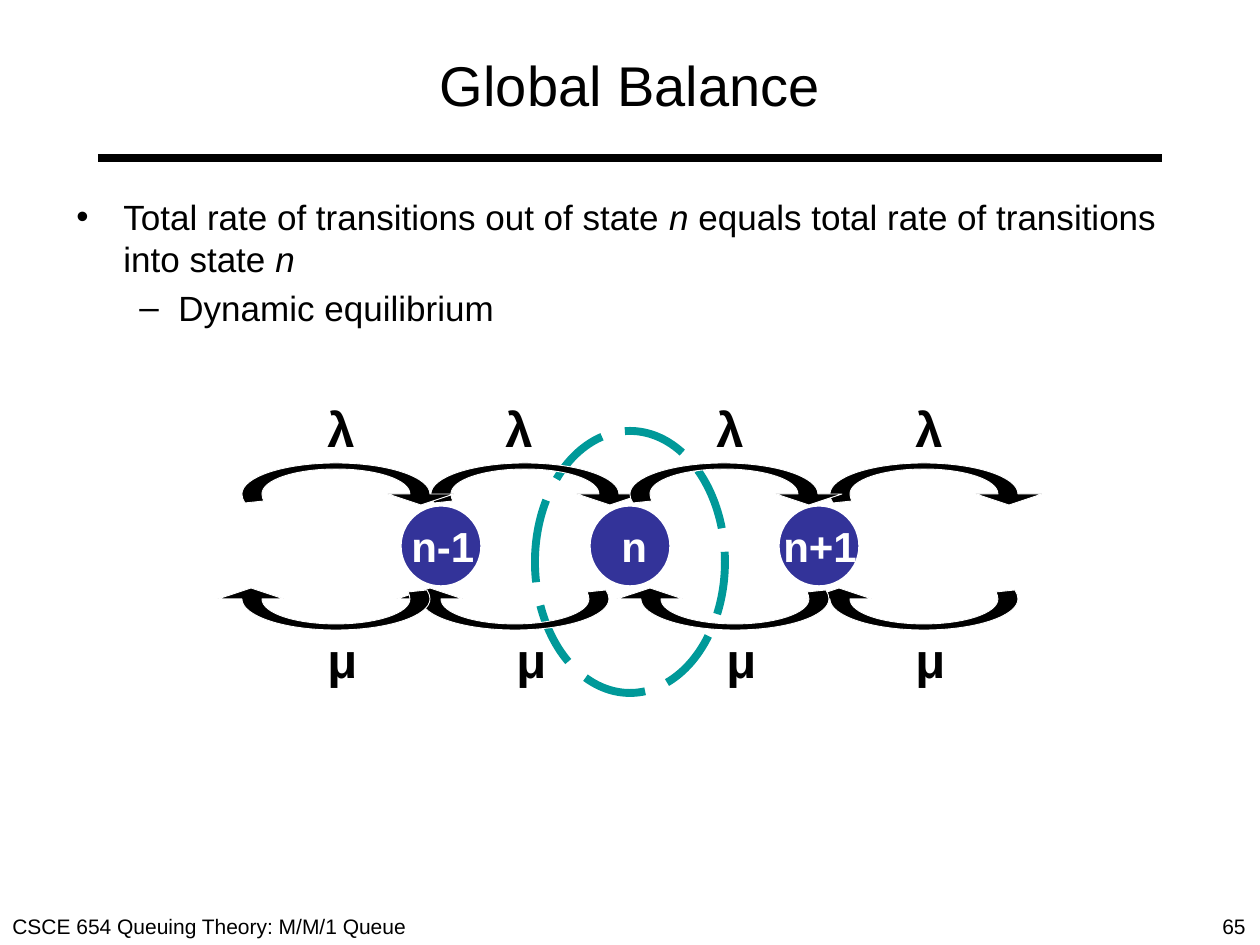
"""Build the Global Balance slide: a birth-death chain with a cut around state n."""
from lxml import etree
from pptx import Presentation
from pptx.dml.color import RGBColor
from pptx.enum.dml import MSO_LINE
from pptx.enum.shapes import MSO_CONNECTOR, MSO_SHAPE
from pptx.enum.text import MSO_ANCHOR, MSO_AUTO_SIZE, PP_ALIGN
from pptx.oxml.ns import qn
from pptx.util import Pt

OVAL, STRAIGHT = MSO_SHAPE.OVAL, MSO_CONNECTOR.STRAIGHT
DASH = MSO_LINE.LONG_DASH
MIDDLE, CENTER = MSO_ANCHOR.MIDDLE, PP_ALIGN.CENTER
FIXED, GROW = MSO_AUTO_SIZE.NONE, MSO_AUTO_SIZE.SHAPE_TO_FIT_TEXT
EMU_PER_PX = 914400 / 126
FONT = "Arial"
COLORS = {"ink": "000000", "paper": "FFFFFF", "state": "333399", "cut": "009999"}

TITLE = "Global Balance"
BULLETS = [
    ("•", 48, -47, [("Total rate of transitions out of state ", False), ("n", True),
                    (" equals total rate of transitions into state ", False), ("n", True)]),
    ("–", 103, -39, [("Dynamic equilibrium", False)]),
]
FOOTERS = [("65", (1210, 907, 50, 38), False),
           ("CSCE 654 Queuing Theory: M/M/1 Queue", (0, 907, 514, 38), True)]
STATES = [("n-1", 399, 399, 88), ("n", 588, 609, 50), ("n+1", 777, 771, 102)]
RATES = {
    "λ": {"turn": 1, "arc_y": 494, "label_y": 392, "width": 52},
    "μ": {"turn": -1, "arc_y": 599, "label_y": 623, "width": 54},
}
TRANSITIONS = [("λ", 924, 903), ("μ", 924, 903), ("λ", 525, 493), ("λ", 724, 704),
               ("μ", 515, 504), ("μ", 735, 714), ("λ", 336, 315), ("μ", 336, 315)]
ARROW_START = (74, 0)
ARROW_SEGMENTS = [
    [(74, -14), (41, -25), (0, -25)],
    [(-41, -25), (-74, -14), (-74, 0)],
    [(-74, 3), (-73, 5), (-72, 7)],
    [(-91, 9)],
    [(-93, 6), (-94, 3), (-94, 0)],
    [(-94, -17), (-52, -31), (0, -31)],
    [(52, -31), (94, -17), (94, 0)],
    [(118, 0)],
    [(85, 11)],
    [(52, 0)],
]


def px(value):
    return round(value * EMU_PER_PX)


def color(name):
    return RGBColor.from_string(COLORS[name])


def add_run(paragraph, text, size, ink="ink", bold=False, italic=False):
    run = paragraph.add_run()
    run.text = text
    run.font.name, run.font.size = FONT, Pt(size)
    run.font.bold, run.font.italic = bold, italic
    run.font.color.rgb = color(ink)


def add_label(slide, text, box, size, ink="ink", bold=False, wrap=False):
    label = slide.shapes.add_textbox(*map(px, box)).text_frame
    label.word_wrap, label.auto_size = wrap, GROW
    add_run(label.paragraphs[0], text, size, ink, bold)


def style(shape, fill, line, width):
    shape.shadow.inherit = False
    if fill:
        shape.fill.solid()
        shape.fill.fore_color.rgb = color(fill)
    else:
        shape.fill.background()
    shape.line.color.rgb = color(line)
    shape.line.width = Pt(width)


def add_transition(slide, center_x, center_y, turn):
    def place(point):
        return px(center_x + turn * point[0]), px(center_y + turn * point[1])

    builder = slide.shapes.build_freeform(*place(ARROW_START))
    builder.add_line_segments([place(segment[-1]) for segment in ARROW_SEGMENTS], close=True)
    arrow = builder.convert_to_shape()
    straight_parts = list(arrow._element.iter(qn("a:lnTo")))
    for part, segment in zip(straight_parts, ARROW_SEGMENTS):
        if len(segment) == 3:
            part.tag = qn("a:cubicBezTo")
            for index, control in enumerate(segment[:2]):
                x, y = place(control)
                part.insert(index, etree.Element(
                    qn("a:pt"), x=str(x - arrow.left), y=str(y - arrow.top)))
    style(arrow, "ink", "paper", 0.5)


def add_title(slide):
    title = slide.shapes.title
    title.left, title.top, title.width, title.height = map(px, (63, 21, 1134, 126))
    frame = title.text_frame
    frame.auto_size, frame.vertical_anchor = FIXED, MIDDLE
    frame.paragraphs[0].alignment = CENTER
    add_run(frame.paragraphs[0], TITLE, 32)
    rule = slide.shapes.add_connector(STRAIGHT, *map(px, (98, 158, 1162, 158)))
    rule.line.color.rgb, rule.line.width = color("ink"), Pt(4.5)
    etree.SubElement(rule._element.spPr, qn("a:effectLst"))


def add_bullets(slide):
    body = slide.shapes.add_textbox(*map(px, (63, 189, 1134, 655))).text_frame
    body.word_wrap = True
    for level, (mark, margin, indent, runs) in enumerate(BULLETS):
        paragraph = body.add_paragraph() if level else body.paragraphs[0]
        paragraph.level = level
        if level:
            paragraph.space_before = Pt(4)
        properties = paragraph._p.get_or_add_pPr()
        properties.set("marL", str(px(margin)))
        properties.set("indent", str(px(indent)))
        etree.SubElement(properties, qn("a:buFont"), typeface=FONT)
        etree.SubElement(properties, qn("a:buChar"), char=mark)
        for text, italic in runs:
            add_run(paragraph, text, 20, italic=italic)


def add_chain(slide):
    cut = slide.shapes.add_shape(OVAL, *map(px, (535, 431, 190, 262)))
    style(cut, None, "cut", 4.5)
    cut.line.dash_style = DASH
    for _, left, _, _ in STATES:
        circle = slide.shapes.add_shape(OVAL, *map(px, (left, 504, 84, 84)))
        style(circle, "state", "paper", 3)
    for symbol, center_x, label_x in TRANSITIONS:
        rate = RATES[symbol]
        add_transition(slide, center_x, rate["arc_y"], rate["turn"])
        add_label(slide, symbol, (label_x, rate["label_y"], rate["width"], 72), 28, bold=True)
    for name, _, label_x, width in STATES:
        add_label(slide, name, (label_x, 514, width, 63), 24, "paper", bold=True)


def main():
    deck = Presentation()
    deck.slide_width, deck.slide_height = px(1260), px(945)
    slide = deck.slides.add_slide(deck.slide_layouts[5])
    add_title(slide)
    for text, box, wrap in FOOTERS:
        add_label(slide, text, box, 12, wrap=wrap)
    add_bullets(slide)
    add_chain(slide)
    deck.save("out.pptx")


if __name__ == "__main__":
    main()
